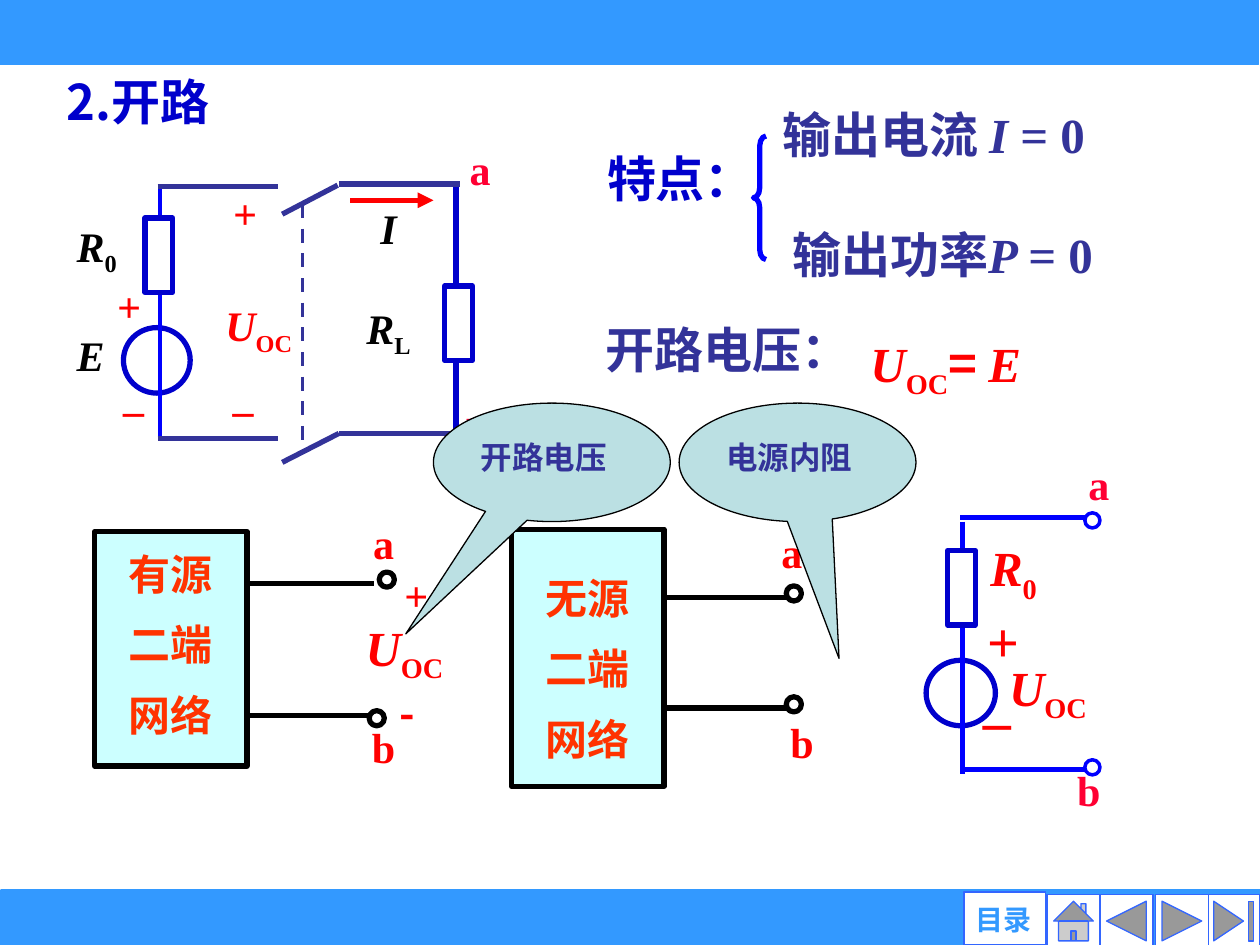
from lxml import etree
from pptx import Presentation
from pptx.dml.color import RGBColor
from pptx.enum.dml import MSO_LINE
from pptx.enum.shapes import MSO_CONNECTOR, MSO_SHAPE
from pptx.enum.text import MSO_ANCHOR, MSO_AUTO_SIZE, PP_ALIGN
from pptx.oxml.ns import qn
from pptx.util import Inches, Pt

RECT, OVAL, BRACE = MSO_SHAPE.RECTANGLE, MSO_SHAPE.OVAL, MSO_SHAPE.LEFT_BRACE
CALLOUT = MSO_SHAPE.OVAL_CALLOUT
TOP, MIDDLE = MSO_ANCHOR.TOP, MSO_ANCHOR.MIDDLE
LEFT, CENTER = PP_ALIGN.LEFT, PP_ALIGN.CENTER
GROW, FIXED = MSO_AUTO_SIZE.SHAPE_TO_FIT_TEXT, MSO_AUTO_SIZE.NONE

WIDTH, HEIGHT = 10, 7.5
SERIF, HAN, SANS = "Times New Roman", "Noto Sans CJK SC", "Arial"
COLORS = {
    "bar": "3399FF", "button": "3366FF", "navy": "0000CC", "blue": "0000FF",
    "indigo": "333399", "red": "FF0000", "rose": "FF0033", "orange": "FF3300",
    "cyan": "CCFFFF", "teal": "BBE0E3", "black": "000000", "white": "FFFFFF",
}
DEFAULT_INSETS = (0.1, 0.05, 0.1, 0.05)
TIGHT = (0.04, 0.04, 0.04, 0.04)

# A run is (text, font, style); style i = italic, s = subscript
E_RUN = ("E", SERIF, "i")
R_RUN, U_RUN = ("R", SERIF, "i"), ("U", SERIF, "i")
ZERO, LOAD, OPEN = ("0", SERIF, "s"), ("L", SERIF, "s"), ("OC", SERIF, "s")
PLUS_ITALIC, MINUS = ("+", SERIF, "i"), ("_", SERIF, "i")
A_RUN, B_RUN = ("a", SERIF, ""), ("b", SERIF, "")

TITLE = [("2.开路", HAN, "")]
# (box, size, colour, line spacing, runs)
STATEMENTS = [
    ((4.71, 2.35, 2.46, 0.71), 28, "indigo", 1.3, [("开路电压：", HAN, "")]),
    ((4.72, 0.94, 1.37, 0.76), 28, "navy", 1.4, [("特点：", HAN, "")]),
    ((6.81, 2.49, 1.62, 0.66), 28, "red", 1.2, [U_RUN, OPEN, ("= ", HAN, ""), E_RUN]),
    ((6.19, 1.55, 3.46, 0.76), 28, "indigo", 1.4,
     [("输出功率", HAN, ""), ("P ", SERIF, "i"), ("= 0", SERIF, "")]),
    ((6.11, 0.59, 3.89, 0.76), 28, "indigo", 1.4,
     [("输出电流 ", HAN, ""), ("I ", SERIF, "i"), ("= 0", SERIF, "")]),
]
# (box, size, colour, runs)
CIRCUIT_LABELS = [
    ((2.92, 1.56, 0.33, 0.5), 24, "black", [("I", SERIF, "i")]),
    ((0.51, 2.57, 0.69, 0.5), 24, "black", [E_RUN]),
    ((0.83, 2.18, 0.39, 0.5), 24, "red", [PLUS_ITALIC]),
    ((0.9, 2.88, 0.38, 0.5), 24, "red", [MINUS]),
    ((0.51, 1.7, 0.69, 0.5), 24, "black", [R_RUN, ZERO]),
    ((1.69, 2.33, 0.87, 0.5), 24, "red", [U_RUN, OPEN]),
    ((3.63, 1.09, 0.37, 0.5), 24, "rose", [A_RUN]),
    ((3.6, 3.18, 0.39, 0.5), 24, "rose", [B_RUN]),
    ((2.81, 2.35, 0.57, 0.5), 24, "black", [R_RUN, LOAD]),
    ((1.75, 1.44, 0.39, 0.5), 24, "red", [PLUS_ITALIC]),
    ((1.77, 2.88, 0.38, 0.5), 24, "red", [MINUS]),
    ((7.91, 5.17, 0.99, 0.57), 28, "red", [U_RUN, OPEN]),
    ((7.76, 4.22, 0.73, 0.57), 28, "red", [R_RUN, ZERO]),
    ((8.54, 3.59, 0.37, 0.5), 24, "rose", [A_RUN]),
    ((8.45, 6.02, 0.41, 0.5), 24, "rose", [B_RUN]),
]
POLARITY = [((7.79, 4.77, 0.25, 0.61), PLUS_ITALIC), ((7.79, 5.25, 0.25, 0.61), MINUS)]
NETWORK_LABELS = [
    ((6.1, 4.13, 0.37, 0.5), 24, [A_RUN]),
    ((6.17, 5.64, 0.39, 0.5), 24, [B_RUN]),
    ((2.86, 4.06, 0.37, 0.5), 24, [A_RUN]),
    ((2.85, 5.68, 0.39, 0.5), 24, [B_RUN]),
    ((3.11, 4.47, 0.39, 0.5), 24, [("+", SERIF, "")]),
    ((3.05, 5.41, 0.37, 0.5), 24, [("-", HAN, "")]),
    ((2.77, 4.88, 0.88, 0.57), 28, [U_RUN, OPEN]),
]
# (box, words, bottom inset, wire heights, terminal corners)
NETWORKS = [
    ((4.06, 4.2, 1.21, 2.04), ["无源", "二端", "网络"], 0.04, (4.74, 5.62),
     [(6.24, 4.65), (6.24, 5.53)]),
    ((0.75, 4.22, 1.21, 1.86), ["有源", "二端", "网络"], 0.28, (4.63, 5.68),
     [(3.01, 4.54), (2.93, 5.64)]),
]
# Circuit wires: (from, to, colour)
WIRES = [
    ((1.25, 1.48), (2.21, 1.48), "indigo"), ((1.25, 3.48), (2.21, 3.48), "indigo"),
    ((3.62, 1.46), (3.62, 3.46), "navy"),
    ((2.69, 1.46), (3.65, 1.46), "indigo"), ((2.69, 3.44), (3.65, 3.44), "indigo"),
    ((2.24, 1.7), (2.68, 1.47), "indigo"), ((2.24, 3.67), (2.69, 3.44), "indigo"),
    ((7.62, 4.11), (8.62, 4.11), "blue"), ((7.63, 6.11), (8.63, 6.11), "blue"),
]
SOURCES = [(1.27, 1.5, 0.53), (7.64, 4.14, 0.55)]  # wire x, wire top, circle width
CALLOUTS = [(5.39, "电源内阻", (0.175, 1.655)), (3.44, "开路电压", (-0.617, 1.448))]
BUTTONS = [
    (9.58, MSO_SHAPE.ACTION_BUTTON_END), (9.17, MSO_SHAPE.ACTION_BUTTON_FORWARD_OR_NEXT),
    (8.73, MSO_SHAPE.ACTION_BUTTON_BACK_OR_PREVIOUS), (8.31, MSO_SHAPE.ACTION_BUTTON_HOME),
]

deck = Presentation()
deck.slide_width, deck.slide_height = Inches(WIDTH), Inches(HEIGHT)
page = deck.slides.add_slide(deck.slide_layouts[5])


def color(name):
    return RGBColor.from_string(COLORS[name])


def shape(kind, box, fill, line, weight=3.0, adjust=()):
    item = page.shapes.add_shape(kind, *map(Inches, box))
    item.shadow.inherit = False
    for index, value in enumerate(adjust):
        item.adjustments[index] = value
    if fill:
        item.fill.solid()
        item.fill.fore_color.rgb = color(fill)
    else:
        item.fill.background()
    item.line.color.rgb = color(line)
    item.line.width = Pt(weight)
    return item


def wire(start, end, tint, weight=3.0):
    item = page.shapes.add_connector(MSO_CONNECTOR.STRAIGHT, *map(Inches, start + end))
    item.line.color.rgb = color(tint)
    item.line.width = Pt(weight)
    etree.SubElement(item._element.spPr, qn("a:effectLst"))
    return item


def write(item, lines, size, tint, spacing=None, align=LEFT, anchor=TOP,
          insets=DEFAULT_INSETS, wrap=False, fit=GROW):
    frame = item.text_frame
    frame.word_wrap, frame.auto_size, frame.vertical_anchor = wrap, fit, anchor
    (frame.margin_left, frame.margin_top,
     frame.margin_right, frame.margin_bottom) = map(Inches, insets)
    for index, runs in enumerate(lines):
        para = frame.paragraphs[0] if index == 0 else frame.add_paragraph()
        para.alignment = align
        if spacing:
            para.line_spacing = spacing
        for text, font, style in runs:
            span = para.add_run()
            span.text = text
            span.font.name, span.font.size, span.font.bold = font, Pt(size), True
            span.font.italic = "i" in style
            span.font.color.rgb = color(tint)
            props = span._r.get_or_add_rPr()
            etree.SubElement(props, qn("a:ea")).set("typeface", HAN)
            if "s" in style:
                props.set("baseline", "-25000")


def label(box, runs, size, tint, **options):
    write(page.shapes.add_textbox(*map(Inches, box)), [runs], size, tint, **options)


# Top and bottom bars with navigation buttons
shape(RECT, (0.01, 7.08, 9.99, 0.42), "bar", "bar")
for left, kind in BUTTONS:
    shape(kind, (left, 7.1, 0.42, 0.42), "white", "button", 0.75)
shape(MSO_SHAPE.ACTION_BUTTON_CUSTOM, (7.65, 7.08, 0.65, 0.42), "white", "button", 0.75)
label((7.65, 7.16, 0.63, 0.27), [("目录", SANS, "")], 16, "bar",
      align=CENTER, anchor=MIDDLE, insets=(0, 0, 0, 0), wrap=True)
shape(RECT, (0, -0.01, 9.99, 0.52), "bar", "bar", 0)

# Title and statements
title = page.shapes.title
title.left, title.top, title.width, title.height = map(Inches, (0.43, 0.52, 2.52, 0.57))
write(title, [TITLE], 28, "navy", wrap=True)
for box, size, tint, spacing, runs in STATEMENTS:
    label(box, runs, size, tint, spacing=spacing, wrap=True)
shape(BRACE, (5.98, 1.08, 0.1, 0.98), None, "blue", 3, (0.783, 0.5))

# Circuits: source branches, wires, load, switch link and current arrow
for x, top, width in SOURCES:
    shape(OVAL, (x - 0.29, top + 1.1, width, 0.52), "white", "navy")
    wire((x, top), (x, top + 2), "blue", 2.75)
    shape(RECT, (x - 0.12, top + 0.23, 0.22, 0.59), "white", "navy")
for start, end, tint in WIRES:
    wire(start, end, tint)
shape(RECT, (3.53, 2.27, 0.22, 0.59), "white", "navy")
wire((2.4, 1.62), (2.4, 3.58), "indigo", 2).line.dash_style = MSO_LINE.DASH
arrow = wire((2.78, 1.59), (3.44, 1.59), "red")
etree.SubElement(arrow.line._get_or_add_ln(), qn("a:tailEnd")).set("type", "triangle")
for top in (4.07, 6.03):
    shape(OVAL, (8.61, top, 0.12, 0.12), "white", "blue", 2)
for box, size, tint, runs in CIRCUIT_LABELS:
    label(box, runs, size, tint)
for box, run in POLARITY:
    label(box, [run], 32, "red", insets=TIGHT, wrap=True)

# Two-terminal networks
for box, words, bottom, heights, terminals in NETWORKS:
    block = shape(RECT, box, "cyan", "black")
    write(block, [[(word, SERIF, "")] for word in words], 24, "orange", 1.4,
          CENTER, MIDDLE, TIGHT[:3] + (bottom,), fit=FIXED)
    right = box[0] + box[2]
    for y in heights:
        wire((right, y), (right + 1.01, y), "black")
    for corner in terminals:
        shape(OVAL, corner + (0.12, 0.12), "white", "black")
for box, size, runs in NETWORK_LABELS:
    label(box, runs, size, "red", align=CENTER, anchor=MIDDLE)

# Callouts
for left, text, tip in CALLOUTS:
    bubble = shape(CALLOUT, (left, 3.2, 1.88, 0.94), "teal", "black", 0.75, tip)
    write(bubble, [[(text, HAN, "")]], 18, "indigo", 1.3, fit=FIXED)

deck.save("out.pptx")
